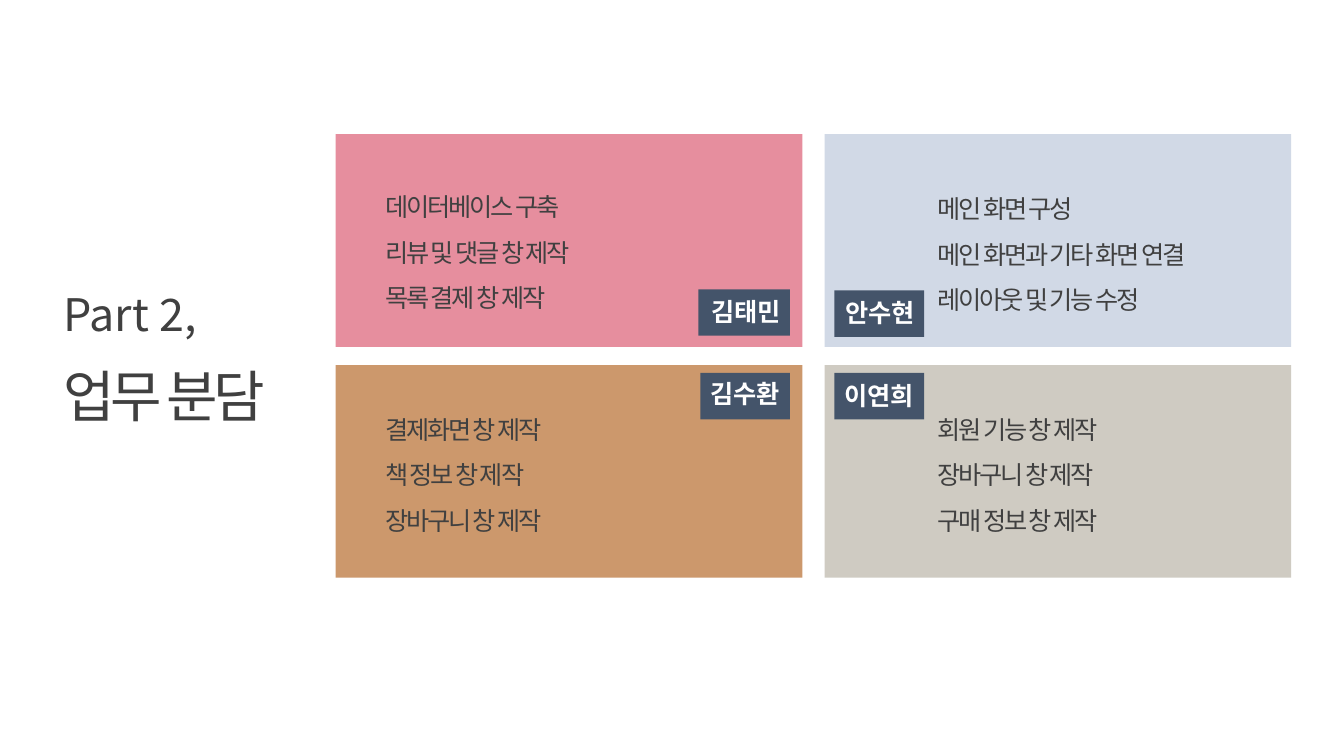
from dataclasses import dataclass

from pptx import Presentation
from pptx.dml.color import RGBColor
from pptx.enum import shapes, text
from pptx.oxml import ns
from pptx.util import Cm, Pt
from lxml import etree

FONT = "Noto Sans CJK KR"
DARK = RGBColor(0x40, 0x40, 0x40)
WHITE = RGBColor(0xFF, 0xFF, 0xFF)
NAVY = RGBColor(0x44, 0x54, 0x6A)
PINK = RGBColor(0xE6, 0x8E, 0x9E)
BLUE = RGBColor(0xD1, 0xD9, 0xE6)
BROWN = RGBColor(0xCC, 0x98, 0x6C)
GREY = RGBColor(0xCF, 0xCB, 0xC2)

# Card grid in centimetres
GRID_LEFT, GRID_TOP = 8.46, 3.38
CARD_W, CARD_H = 11.76, 5.36
PITCH_X, PITCH_Y = 12.32, 5.82
BADGE_H, LIST_H = 1.17, 3.58
NAME_W, NAME_H = 2.44, 1.02

Box = tuple[float, float, float, float]


@dataclass
class Member:
    name: str
    color: RGBColor
    tasks: list[str]
    tasks_at: tuple[float, float, float]  # left, top, width
    badge_at: tuple[float, float, float]  # left, top, width
    name_at: tuple[float, float]  # left, top


MEMBERS = [
    Member("김태민", PINK, ["데이터베이스 구축", "리뷰 및 댓글 창 제작", "목록 결제 창 제작"],
           (9.45, 4.32, 7.26), (17.6, 7.29, 2.31), (17.58, 7.34)),
    Member("안수현", BLUE, ["메인 화면 구성", "메인 화면과 기타 화면 연결", "레이아웃 및 기능 수정"],
           (23.37, 4.37, 9.58), (21.03, 7.32, 2.26), (20.96, 7.37)),
    Member("김수환", BROWN, ["결제화면 창 제작", "책 정보 창 제작", "장바구니 창 제작"],
           (9.45, 9.93, 8.46), (17.65, 9.4, 2.26), (17.55, 9.42)),
    Member("이연희", GREY, ["회원 기능 창 제작", "장바구니 창 제작", "구매 정보 창 제작"],
           (23.37, 9.93, 8.56), (21.03, 9.4, 2.26), (20.93, 9.45)),
]


def write(sp, lines: list[str], size: float = 18, color: RGBColor = DARK, bold: bool = False,
          align=text.PP_ALIGN.LEFT, line_spacing: float = 1.0, tracking: float = 0,
          wrap: bool = True) -> None:
    """Fill a text box or placeholder with one paragraph per line."""
    tf = sp.text_frame
    tf.text = "\n".join(lines)
    tf.word_wrap = wrap
    tf.auto_size = text.MSO_AUTO_SIZE.SHAPE_TO_FIT_TEXT
    tf.vertical_anchor = text.MSO_ANCHOR.TOP
    for p in tf.paragraphs:
        p.alignment = align
        p.line_spacing = line_spacing
        p.space_before = p.space_after = Pt(0)
        if sp.is_placeholder:
            pPr = p._p.get_or_add_pPr()
            pPr.set("marL", "0")
            pPr.set("indent", "0")
            etree.SubElement(pPr, ns.qn("a:buNone"))
        for r in p.runs:
            r.font.name, r.font.size, r.font.bold = FONT, Pt(size), bold
            r.font.color.rgb = color
            rPr = r._r.get_or_add_rPr()
            rPr.set("spc", str(round(tracking * 100)))
            etree.SubElement(rPr, ns.qn("a:ea"), typeface=FONT)


def add_block(s, box: Box, color: RGBColor) -> None:
    """Draw a plain filled rectangle."""
    sp = s.shapes.add_shape(shapes.MSO_SHAPE.RECTANGLE, *map(Cm, box))
    sp.shadow.inherit = False
    sp.fill.solid()
    sp.fill.fore_color.rgb = color
    sp.line.fill.background()


def place(sp, box: Box) -> None:
    """Move a placeholder to its box and in front of the other shapes."""
    sp.left, sp.top, sp.width, sp.height = map(Cm, box)
    sp._element.getparent().append(sp._element)


def main() -> None:
    prs = Presentation()
    prs.slide_width, prs.slide_height = Cm(33.87), Cm(19.05)
    s = prs.slides.add_slide(prs.slide_layouts.get_by_name("Comparison"))
    title, *bodies = s.placeholders

    # Heading
    part = s.shapes.add_textbox(Cm(1.35), Cm(7.09), Cm(4.6), Cm(1.63))
    write(part, ["Part 2,"], size=32)
    place(title, (1.35, 8.97, 6.17, 1.96))
    write(title, ["업무 분담"], size=40, tracking=-3, wrap=False)

    # One card per member: background, task list, name badge
    for i, (m, body) in enumerate(zip(MEMBERS, bodies)):
        row, col = divmod(i, 2)
        add_block(s, (GRID_LEFT + col * PITCH_X, GRID_TOP + row * PITCH_Y, CARD_W, CARD_H), m.color)
        place(body, (*m.tasks_at, LIST_H))
        write(body, m.tasks, line_spacing=1.5, tracking=-1.5)
        add_block(s, (*m.badge_at, BADGE_H), NAVY)
        label = s.shapes.add_textbox(*map(Cm, (*m.name_at, NAME_W, NAME_H)))
        write(label, [m.name], color=WHITE, bold=True, align=text.PP_ALIGN.CENTER, wrap=False)

    prs.save("out.pptx")


if __name__ == "__main__":
    main()
